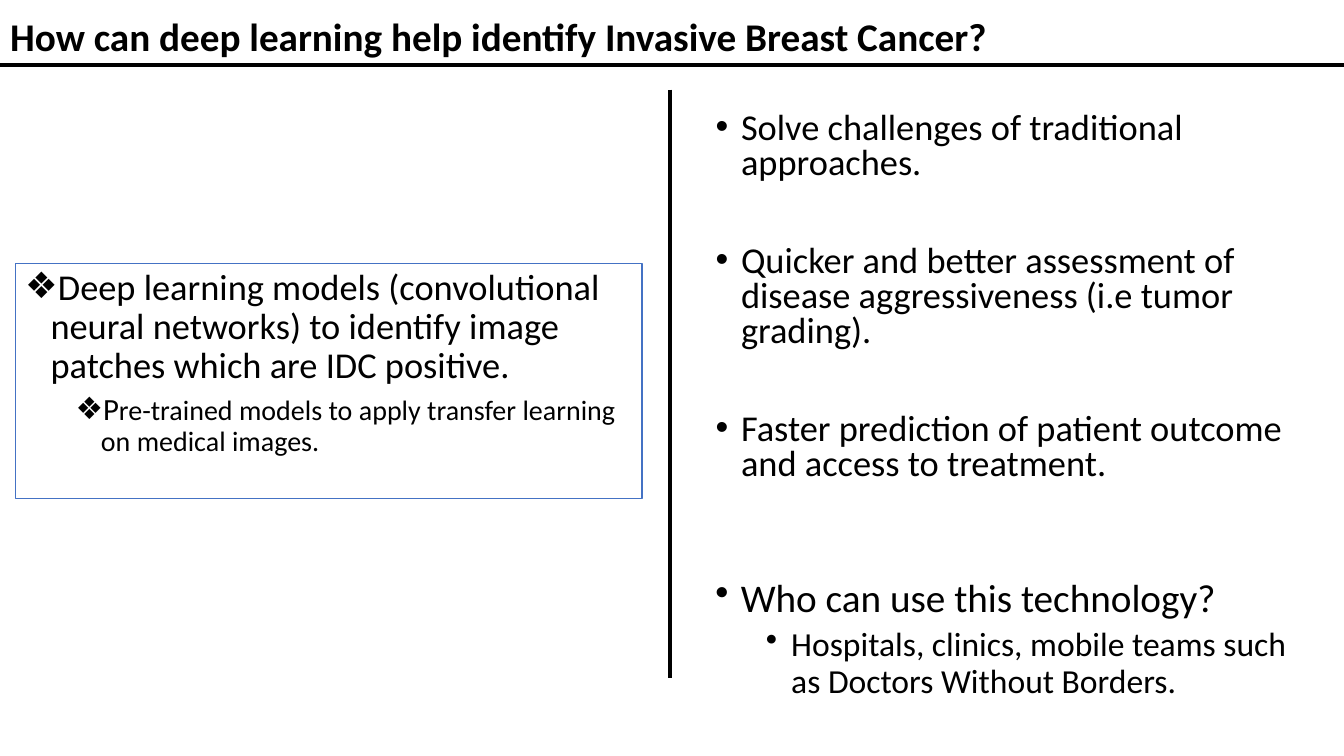
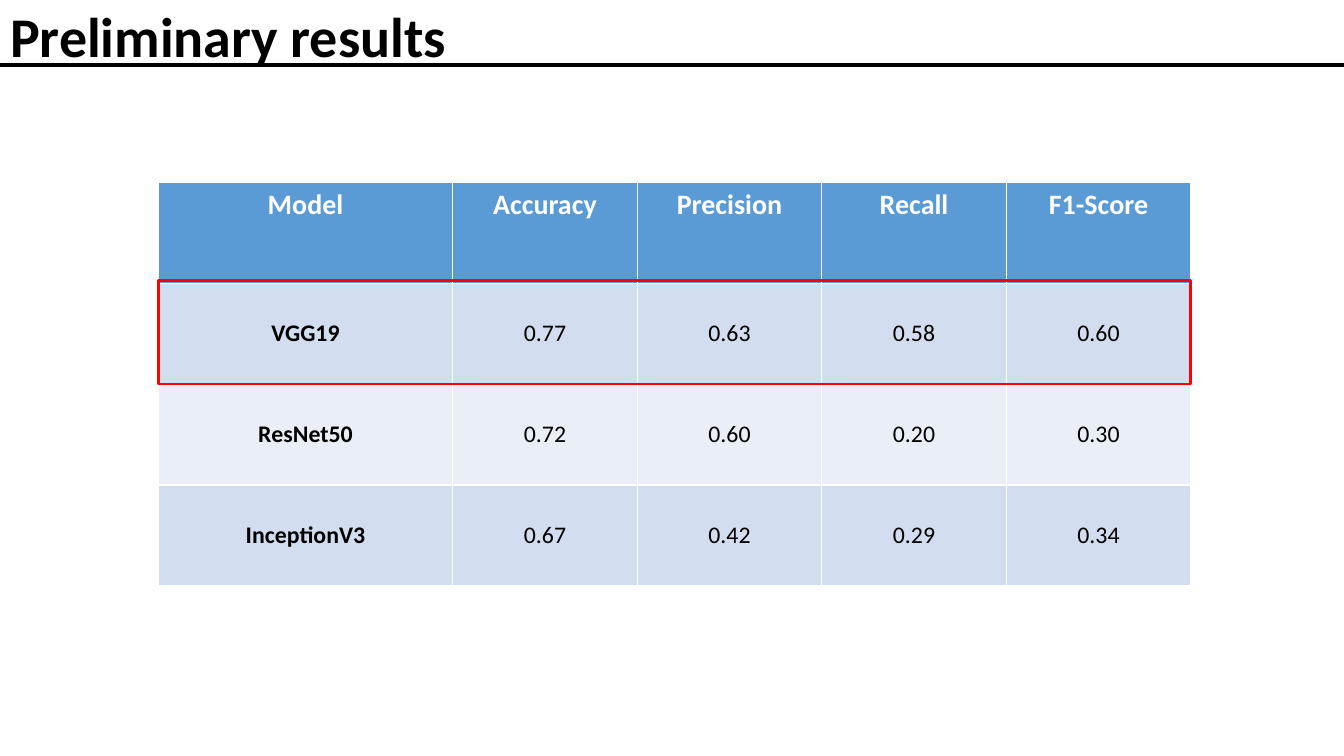
from dataclasses import dataclass

from lxml.etree import SubElement
from pptx import Presentation
from pptx.dml.color import RGBColor
from pptx.enum.shapes import MSO_CONNECTOR, MSO_SHAPE
from pptx.enum.text import MSO_ANCHOR, MSO_AUTO_SIZE, PP_ALIGN
from pptx.oxml.ns import qn
from pptx.util import Cm, Pt


@dataclass(frozen=True)
class Theme:
    font: str = "Calibri"
    ink: RGBColor = RGBColor(0, 0, 0)
    paper: RGBColor = RGBColor(255, 255, 255)
    frame: RGBColor = RGBColor.from_string("4472C4")
    header: RGBColor = RGBColor.from_string("5B9BD5")
    band_dark: RGBColor = RGBColor.from_string("D2DEEF")
    band_light: RGBColor = RGBColor.from_string("EAEFF7")
    highlight: RGBColor = RGBColor(255, 0, 0)
    question_title: int = 28
    results_title: int = 40
    body: int = 26
    table_header: int = 20
    table_body: int = 17


theme = Theme()


def set_values(target, values):
    for name, value in values.items():
        setattr(target, name, value)


def add_span(para, text, size, colour=theme.ink, bold=False):
    span = para.add_run()
    span.text = text
    set_values(span.font, {"name": theme.font, "size": Pt(size), "bold": bold})
    span.font.color.rgb = colour


deck = Presentation()
set_values(deck, {"slide_width": Cm(33.87), "slide_height": Cm(19.05)})
question_page = deck.slides.add_slide(deck.slide_layouts.get_by_name("Two Content"))
results_page = deck.slides.add_slide(deck.slide_layouts.get_by_name("Title Only"))

titles = [
    (question_page, "How can deep learning help identify Invasive Breast Cancer?", theme.question_title),
    (results_page, "Preliminary results", theme.results_title),
]
for page, text, size in titles:
    title = page.shapes.title
    set_values(title, {"left": 0, "top": 0, "width": deck.slide_width, "height": Cm(1.96)})
    set_values(title.text_frame, {
        "vertical_anchor": MSO_ANCHOR.MIDDLE,
        "auto_size": MSO_AUTO_SIZE.NONE,
        "word_wrap": True,
    })
    para = title.text_frame.paragraphs[0]
    set_values(para, {"alignment": PP_ALIGN.LEFT, "line_spacing": 0.9})
    add_span(para, text, size, bold=True)

title_rule = (0, 1.63, 33.87, 1.63)
divider = (16.89, 2.26, 16.89, 17.09)
lines = [(question_page, title_rule), (results_page, title_rule), (question_page, divider)]
for page, ends in lines:
    line = page.shapes.add_connector(MSO_CONNECTOR.STRAIGHT, *map(Cm, ends))
    line.line.color.rgb = theme.ink
    line.line.width = Pt(3)
    SubElement(line._element.spPr, qn("a:effectLst"))

models_box = question_page.placeholders[1]
benefits_box = question_page.placeholders[2]
users_box = question_page.shapes.add_textbox(0, 0, 0, 0)
models_box.line.color.rgb = theme.frame
models_box.line.width = Pt(0.75)

lists = [
    (models_box, (0.38, 6.65, 15.8, 5.92), "❖", 0.9, 10, [
        (0, [("Deep learning models (convolutional neural networks) to identify image patches which are IDC positive.", theme.body)]),
        (1, [("P", 22), ("re-trained models to apply transfer learning on medical images.", 20)]),
    ]),
    (benefits_box, (17.78, 2.72, 15.8, 9.86), "•", 0.8, 45, [
        (0, [("Solve challenges of traditional approaches.", theme.body)]),
        (0, [("Quicker and better assessment of disease aggressiveness (i.e tumor grading).", theme.body)]),
        (0, [("Faster prediction of patient outcome and access to treatment.", theme.body)]),
    ]),
    (users_box, (17.78, 14.45, 15.19, 4.11), "•", 0.9, 10, [
        (0, [("Who can use this technology?", 28)]),
        (1, [("Hospitals, clinics, mobile teams such as Doctors Without Borders.", 24)]),
    ]),
]
for box, place, bullet, spacing, gap, items in lists:
    set_values(box, dict(zip(("left", "top", "width", "height"), map(Cm, place))))
    frame = box.text_frame
    set_values(frame, {
        "word_wrap": True,
        "auto_size": MSO_AUTO_SIZE.NONE,
        "vertical_anchor": MSO_ANCHOR.TOP,
    })
    for index, (level, spans) in enumerate(items):
        para = frame.add_paragraph() if index else frame.paragraphs[0]
        properties = para._p.get_or_add_pPr()
        properties.set("marL", str(Cm(0.64 + 1.27 * level)))
        properties.set("indent", str(-Cm(0.64)))
        SubElement(properties, qn("a:buChar"), char=bullet)
        before = 0 if index == 0 else 5 if level else gap
        set_values(para, {
            "level": level,
            "alignment": PP_ALIGN.LEFT,
            "line_spacing": spacing,
            "space_before": Pt(before),
        })
        for text, size in spans:
            add_span(para, text, size)

results = [
    ("Model", "Accuracy", "Precision", "Recall", "F1-Score"),
    ("VGG19", "0.77", "0.63", "0.58", "0.60"),
    ("ResNet50", "0.72", "0.60", "0.20", "0.30"),
    ("InceptionV3", "0.67", "0.42", "0.29", "0.34"),
]
table_left, table_top, table_width, row_height = Cm(3.99), Cm(4.6), Cm(26.02), Cm(2.54)
table = results_page.shapes.add_table(
    len(results), len(results[0]), table_left, table_top, table_width, row_height * len(results)
).table
for index, column in enumerate(table.columns):
    column.width = Cm(4.65) if index else Cm(7.42)
for row, values in enumerate(results):
    table.rows[row].height = row_height
    is_header = row == 0
    fill = theme.header if is_header else theme.band_dark if row % 2 else theme.band_light
    colour = theme.paper if is_header else theme.ink
    size = theme.table_header if is_header else theme.table_body
    for column, text in enumerate(values):
        cell = table.cell(row, column)
        cell.fill.solid()
        cell.fill.fore_color.rgb = fill
        cell.vertical_anchor = MSO_ANCHOR.TOP if is_header else MSO_ANCHOR.MIDDLE
        para = cell.text_frame.paragraphs[0]
        para.alignment = PP_ALIGN.CENTER
        add_span(para, text, size, colour, bold=is_header or column == 0)

best_row = results_page.shapes.add_shape(
    MSO_SHAPE.RECTANGLE, table_left, Cm(7.06), table_width, Cm(2.62)
)
best_row.shadow.inherit = False
best_row.fill.background()
best_row.line.color.rgb = theme.highlight
best_row.line.width = Pt(2)

deck.save("out.pptx")
